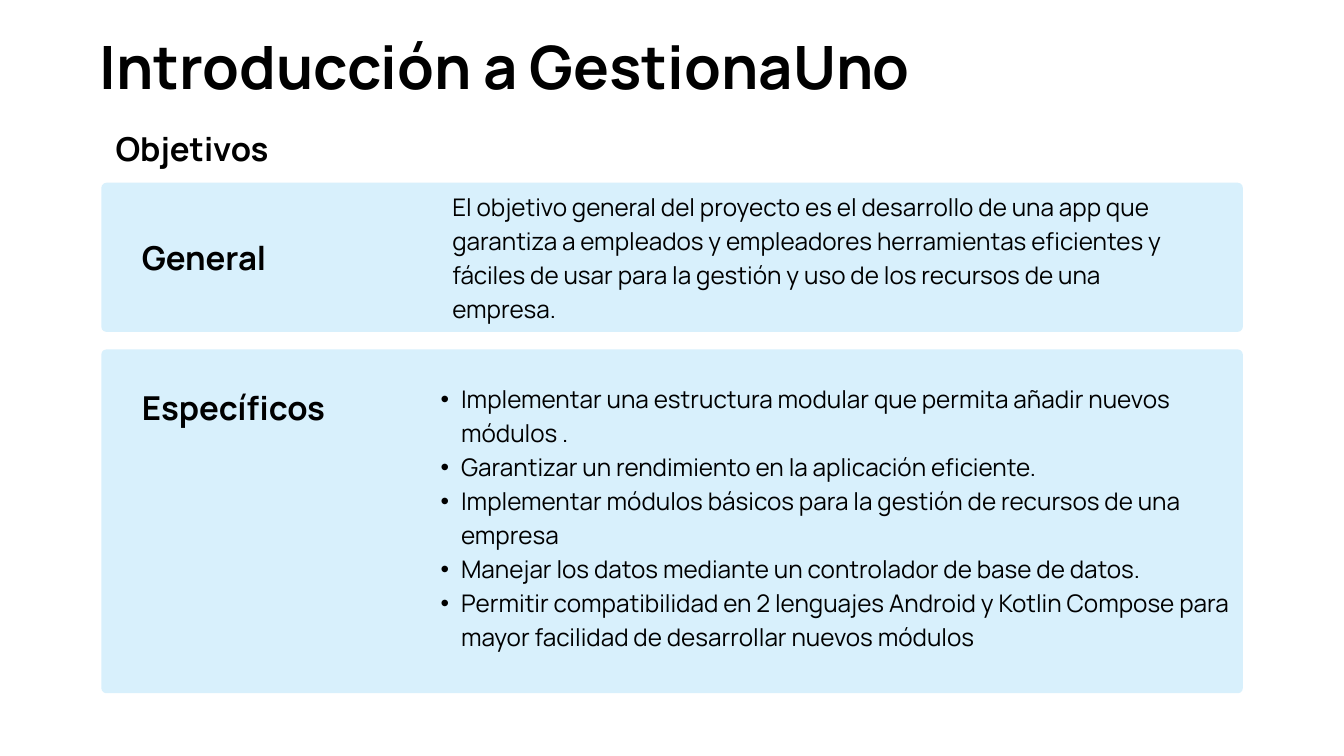
"""Build the slide that presents the general and specific objectives of the project."""

from dataclasses import dataclass

from lxml.etree import SubElement
from pptx import Presentation
from pptx.dml.color import RGBColor
from pptx.enum.shapes import MSO_SHAPE
from pptx.enum.text import MSO_ANCHOR, MSO_AUTO_SIZE, PP_ALIGN
from pptx.oxml.ns import qn
from pptx.shapes.autoshape import Shape
from pptx.slide import Slide
from pptx.util import Pt


@dataclass(frozen=True)
class Theme:
    font: str = "Manrope"
    ink: RGBColor = RGBColor(0x00, 0x00, 0x00)
    panel: RGBColor = RGBColor(0xD8, 0xF0, 0xFC)
    title_size: float = 64
    heading_size: float = 35.3
    text_size: float = 26
    title_leading: float = 69.1
    heading_leading: float = 62.5
    text_leading: float = 36.4
    corner: float = 5.4
    bullet_indent: float = 22


@dataclass(frozen=True)
class Box:
    left: float
    top: float
    width: float
    height: float

    def lengths(self) -> tuple[Pt, Pt, Pt, Pt]:
        return Pt(self.left), Pt(self.top), Pt(self.width), Pt(self.height)


@dataclass(frozen=True)
class Heading:
    text: str
    left: float
    top: float


THEME = Theme()
TITLE = "Introducción a GestionaUno"
GENERAL_GOAL = (
    "El objetivo general del proyecto es el desarrollo de una app que garantiza a "
    "empleados y empleadores herramientas eficientes y fáciles de usar para la "
    "gestión y uso de los recursos de una empresa."
)
SPECIFIC_GOALS = (
    "Implementar una estructura modular que permita añadir nuevos módulos .",
    "Garantizar un rendimiento en la aplicación eficiente.",
    "Implementar módulos básicos para la gestión de recursos de una empresa",
    "Manejar los datos mediante un controlador de base de datos.",
    "Permitir compatibilidad en 2 lenguajes Android y Kotlin Compose para mayor "
    "facilidad de desarrollar nuevos módulos",
)
PANELS = (Box(108.6, 195.8, 1223, 159.8), Box(108.6, 374.4, 1223, 368.4))
HEADINGS = (
    Heading("Objetivos", 123.8, 118.1),
    Heading("General", 151.9, 234.7),
    Heading("Específicos", 151.9, 394.6),
)


def draw_panel(slide: Slide, box: Box) -> None:
    """Draw a rounded panel whose corner radius does not depend on its size."""
    panel = slide.shapes.add_shape(MSO_SHAPE.ROUNDED_RECTANGLE, *box.lengths())
    panel.adjustments[0] = THEME.corner / min(box.width, box.height)
    panel.shadow.inherit = False
    panel.fill.solid()
    panel.fill.fore_color.rgb = THEME.panel
    panel.line.fill.background()


def write(
    holder: Shape,
    *texts: str,
    box: Box,
    size: float = THEME.text_size,
    leading: float = THEME.text_leading,
    bold: bool = False,
    align: PP_ALIGN = PP_ALIGN.LEFT,
    bulleted: bool = False,
) -> None:
    """Place the holder and fill it with one formatted paragraph per text."""
    holder.left, holder.top, holder.width, holder.height = box.lengths()
    frame = holder.text_frame
    frame.word_wrap = True
    frame.auto_size = MSO_AUTO_SIZE.NONE
    frame.vertical_anchor = MSO_ANCHOR.TOP
    frame.margin_left = frame.margin_top = frame.margin_right = frame.margin_bottom = 0
    frame.text = "\n".join(texts)
    for paragraph in frame.paragraphs:
        if bulleted:
            paragraph.level = 1
            properties = paragraph._p.get_or_add_pPr()
            properties.set("marL", str(Pt(2 * THEME.bullet_indent)))
            properties.set("indent", str(-Pt(THEME.bullet_indent)))
            SubElement(properties, qn("a:buChar"), char="•")
        paragraph.alignment = align
        paragraph.line_spacing = Pt(leading)
        paragraph.space_before = Pt(0)
        for run in paragraph.runs:
            run.font.name = THEME.font
            run.font.size = Pt(size)
            run.font.bold = bold
            run.font.color.rgb = THEME.ink


def add_text_box(slide: Slide) -> Shape:
    """Add an empty text box that is placed when it is written."""
    return slide.shapes.add_textbox(0, 0, 0, 0)


def main() -> None:
    """Build and save the presentation."""
    presentation = Presentation()
    presentation.slide_width, presentation.slide_height = Pt(1440), Pt(810)
    slide = presentation.slides.add_slide(presentation.slide_layouts[1])
    title, specific_goals = slide.placeholders

    for panel in PANELS:
        draw_panel(slide, panel)
    for placeholder in (specific_goals, title):
        slide.shapes._spTree.append(placeholder._element)

    write(add_text_box(slide), GENERAL_GOAL, box=Box(484.6, 200.9, 801.4, 144))
    write(specific_goals, *SPECIFIC_GOALS, box=Box(450, 406.8, 869, 288), bulleted=True)
    for heading in HEADINGS:
        write(
            add_text_box(slide),
            heading.text,
            box=Box(heading.left, heading.top, 298.8, 59),
            size=THEME.heading_size,
            leading=THEME.heading_leading,
            bold=True,
        )
    write(
        title,
        TITLE,
        box=Box(80.6, 39.6, 920.2, 75.6),
        size=THEME.title_size,
        leading=THEME.title_leading,
        bold=True,
        align=PP_ALIGN.CENTER,
    )
    presentation.save("out.pptx")


if __name__ == "__main__":
    main()
